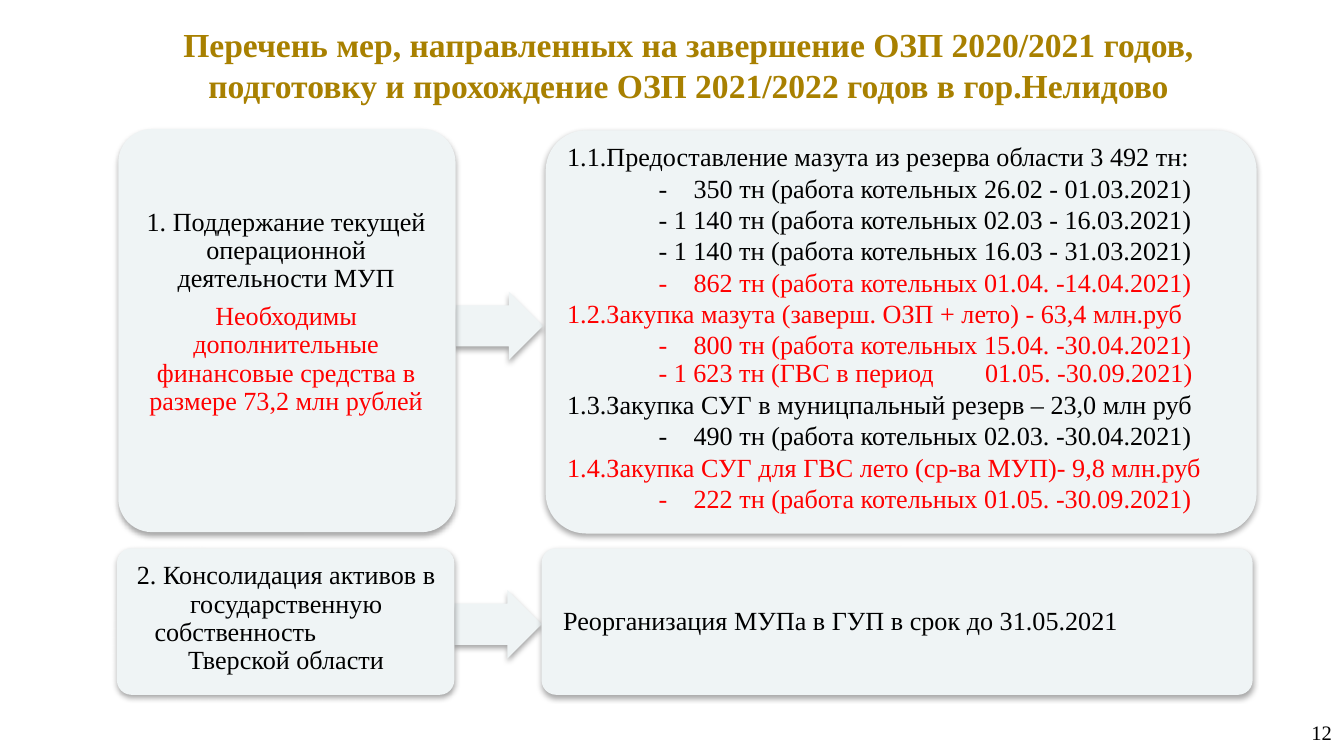
from lxml import etree
from pptx import Presentation
from pptx.dml.color import RGBColor
from pptx.enum import shapes, text
from pptx.oxml import ns
from pptx.util import Pt

PX = 9144
WIDE = 1000 * PX
FONT = "Times New Roman"
HUES = {"gold": "A88000", "ink": "000000", "red": "FF0000", "pale": "EFF4F5"}
MID = text.PP_ALIGN.CENTER
LEFT = text.PP_ALIGN.LEFT

TITLE = ("Перечень мер, направленных на завершение ОЗП 2020/2021 годов, "
         "подготовку и прохождение ОЗП 2021/2022 годов в гор.Нелидово")
TASK = [
    ("1. Поддержание текущей операционной деятельности МУП", "ink"),
    ("Необходимы дополнительные финансовые средства в размере 73,2 млн рублей", "red"),
]
FUEL = [
    ("1.1.Предоставление мазута из резерва области 3 492 тн:", "ink"),
    ("\t-\t350 тн (работа котельных 26.02 - 01.03.2021)", "ink"),
    ("\t- 1 140 тн (работа котельных 02.03 - 16.03.2021)", "ink"),
    ("\t- 1 140 тн (работа котельных 16.03 - 31.03.2021)", "ink"),
    ("\t-\t862 тн (работа котельных 01.04. -14.04.2021)", "red"),
    ("1.2.Закупка мазута (заверш. ОЗП + лето) - 63,4 млн.руб", "red"),
    ("\t-\t800 тн (работа котельных 15.04. -30.04.2021)", "red"),
    ("\t- 1 623 тн (ГВС в период\t01.05. -30.09.2021)", "red"),
    ("1.3.Закупка СУГ в муницпальный резерв – 23,0 млн руб", "ink"),
    ("\t-\t490 тн (работа котельных 02.03. -30.04.2021)", "ink"),
    ("1.4.Закупка СУГ для ГВС лето (ср-ва МУП)- 9,8 млн.руб", "red"),
    ("\t-\t222 тн (работа котельных 01.05. -30.09.2021)", "red"),
]
ASSETS = [
    ("2. Консолидация активов в государственную", "ink"),
    ("собственность", "ink"),
    ("Тверской области", "ink"),
]
REFORM = [("Реорганизация МУПа в ГУП в срок до 31.05.2021", "ink")]


def shade(shape):
    """Give a shape its soft shadow below."""
    fx = etree.SubElement(shape._element.spPr, ns.qn("a:effectLst"))
    drop = etree.SubElement(fx, ns.qn("a:outerShdw"), blurRad=str(Pt(3.1)),
                            dist=str(Pt(1.8)), dir="5400000", rotWithShape="0")
    hue = etree.SubElement(drop, ns.qn("a:srgbClr"), val=HUES["ink"])
    etree.SubElement(hue, ns.qn("a:alpha"), val="35000")


def block(slide, kind, box, adj):
    """Draw a pale shape with a shadow in the box."""
    shape = slide.shapes.add_shape(kind, *(n * PX for n in box))
    for i, n in enumerate(adj):
        shape.adjustments[i] = n
    shape.fill.solid()
    shape.fill.fore_color.rgb = RGBColor.from_string(HUES["pale"])
    shape.line.fill.background()
    shade(shape)
    return shape


def write(slide, box, lines, align=LEFT, size=14, pad=4, lead=None, bold=False):
    """Fill a text box with coloured lines and return its paragraphs."""
    frame = slide.shapes.add_textbox(*(n * PX for n in box)).text_frame
    frame.word_wrap = True
    frame.vertical_anchor = text.MSO_ANCHOR.MIDDLE
    frame.margin_left = frame.margin_right = pad * PX
    frame.margin_top = frame.margin_bottom = 4 * PX
    for i, (words, hue) in enumerate(lines):
        para = frame.add_paragraph() if i else frame.paragraphs[0]
        para.alignment = align
        if lead:
            para.line_spacing = lead
        run = para.add_run()
        run.text = words
        run.font.name = FONT
        run.font.size = Pt(size)
        run.font.bold = bold
        run.font.color.rgb = RGBColor.from_string(HUES[hue])
    return frame.paragraphs


def stops(para, places):
    """Set left tab stops at the given places."""
    tabs = etree.SubElement(para._p.get_or_add_pPr(), ns.qn("a:tabLst"))
    for n in places:
        etree.SubElement(tabs, ns.qn("a:tab"), pos=str(n * PX), algn="l")


def row(slide, x, y, high, side, drop, dip=0):
    """Draw a narrow card, an arrow and a wide card in one row."""
    card = shapes.MSO_SHAPE.ROUNDED_RECTANGLE
    arrow = block(slide, shapes.MSO_SHAPE.LEFT_ARROW,
                  (x + 251, y + drop, 65, 51), (0.6, 0.5))
    arrow.rotation = 180
    block(slide, card, (x, y, 251, high), (0.1,))
    block(slide, card, (x + side, y + dip, 529, high), (0.1,))


def supply(slide, x, y):
    """Place the row on running costs and fuel."""
    row(slide, x, y, 300, 318, 121, 1)
    paras = write(slide, (x + 5, y + 5, 240, 263), TASK, MID, lead=0.9)
    paras[0].space_after = Pt(5)
    paras = write(slide, (x + 330, y + 4, 511, 287), FUEL)
    paras[7].line_spacing = 0.9
    for para in paras:
        if "\t" in para.text:
            stops(para, (68, 311) if "ГВС" in para.text else (68, 94))


def merge(slide, x, y):
    """Place the row on the transfer of assets."""
    row(slide, x, y, 109, 316, 31)
    paras = write(slide, (x + 6, y, 240, 105), ASSETS, MID, lead=0.9)
    paras[1].alignment = LEFT
    paras[1]._p.get_or_add_pPr().set("marL", str(18 * PX))
    write(slide, (x + 328, y + 2, 511, 102), REFORM)


def main():
    """Build and save the slide."""
    deck = Presentation()
    deck.slide_width, deck.slide_height = WIDE, WIDE * 9 // 16
    slide = deck.slides.add_slide(deck.slide_layouts[6])
    write(slide, (91, 13, 843, 70), [(TITLE, "gold")], MID, 18, 10, bold=True)
    supply(slide, 88, 96)
    merge(slide, 87, 408)
    write(slide, (966, 530, 36, 29), [("12", "ink")], size=11, pad=10)
    deck.save("out.pptx")


if __name__ == "__main__":
    main()
